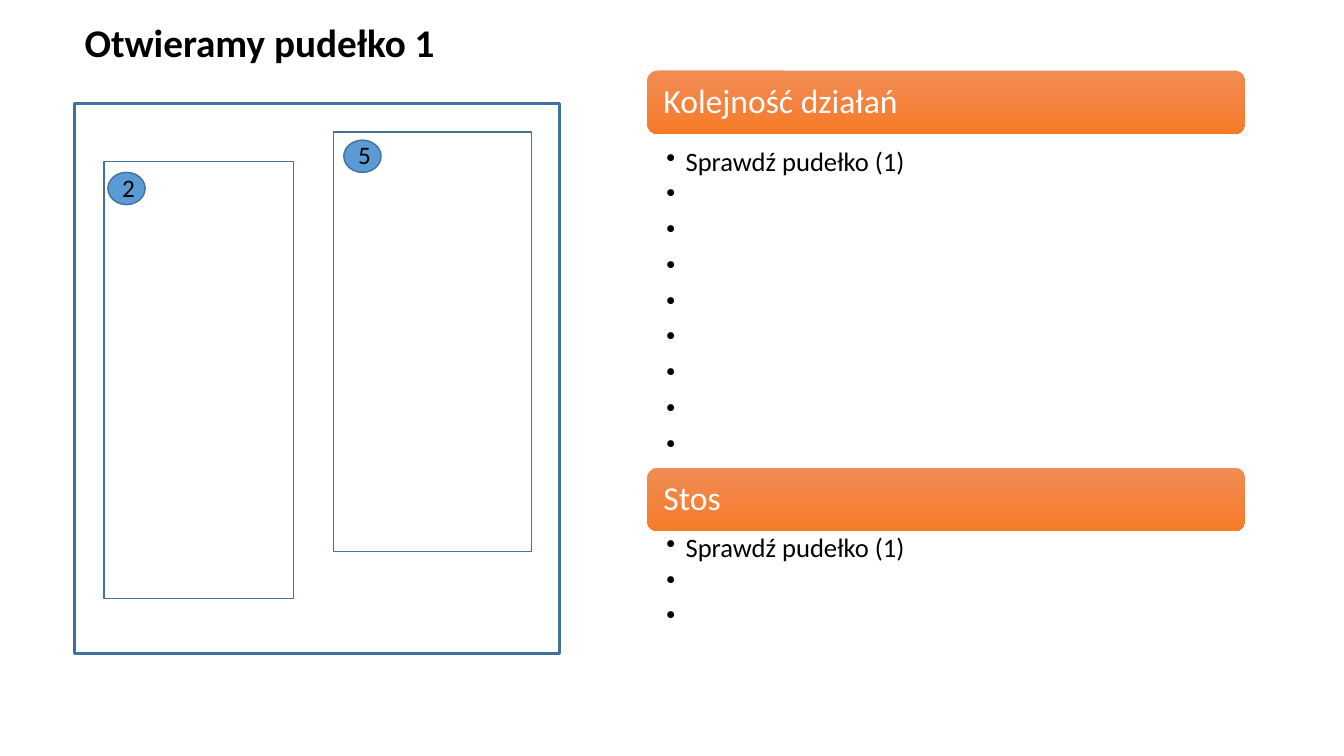
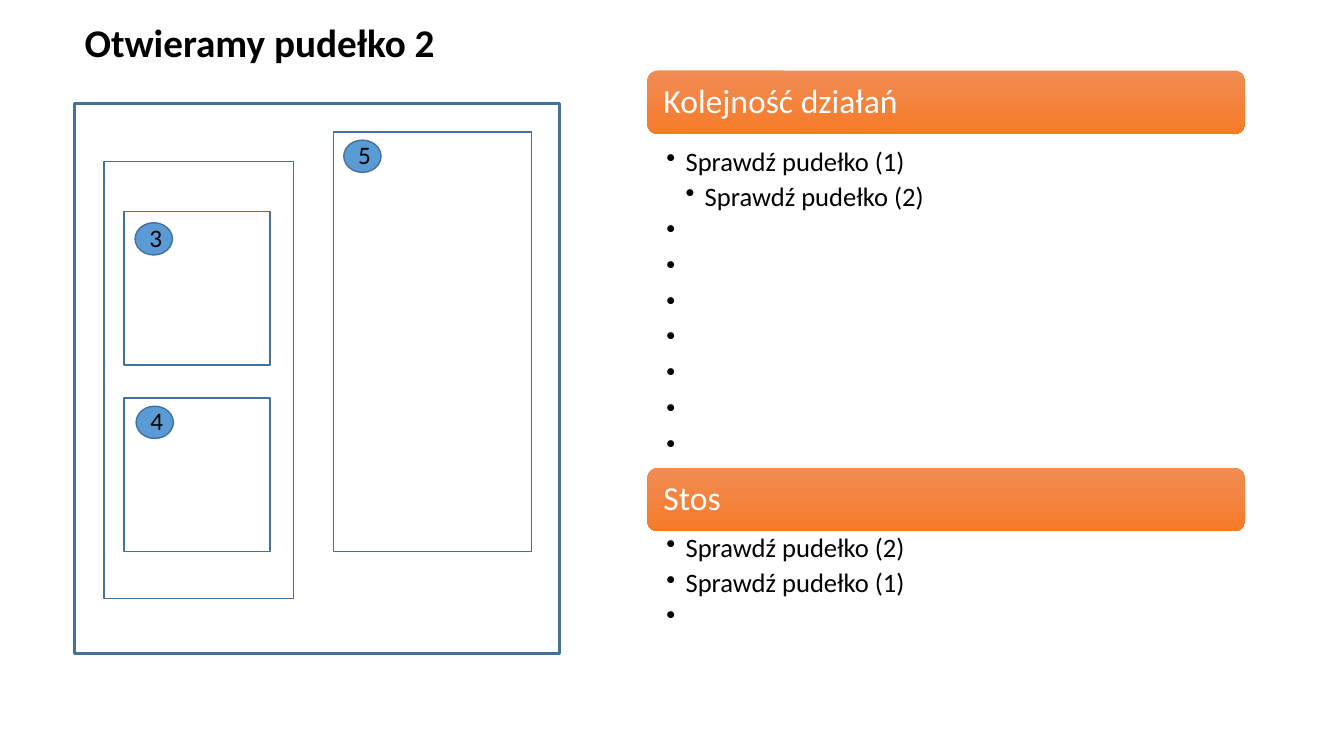
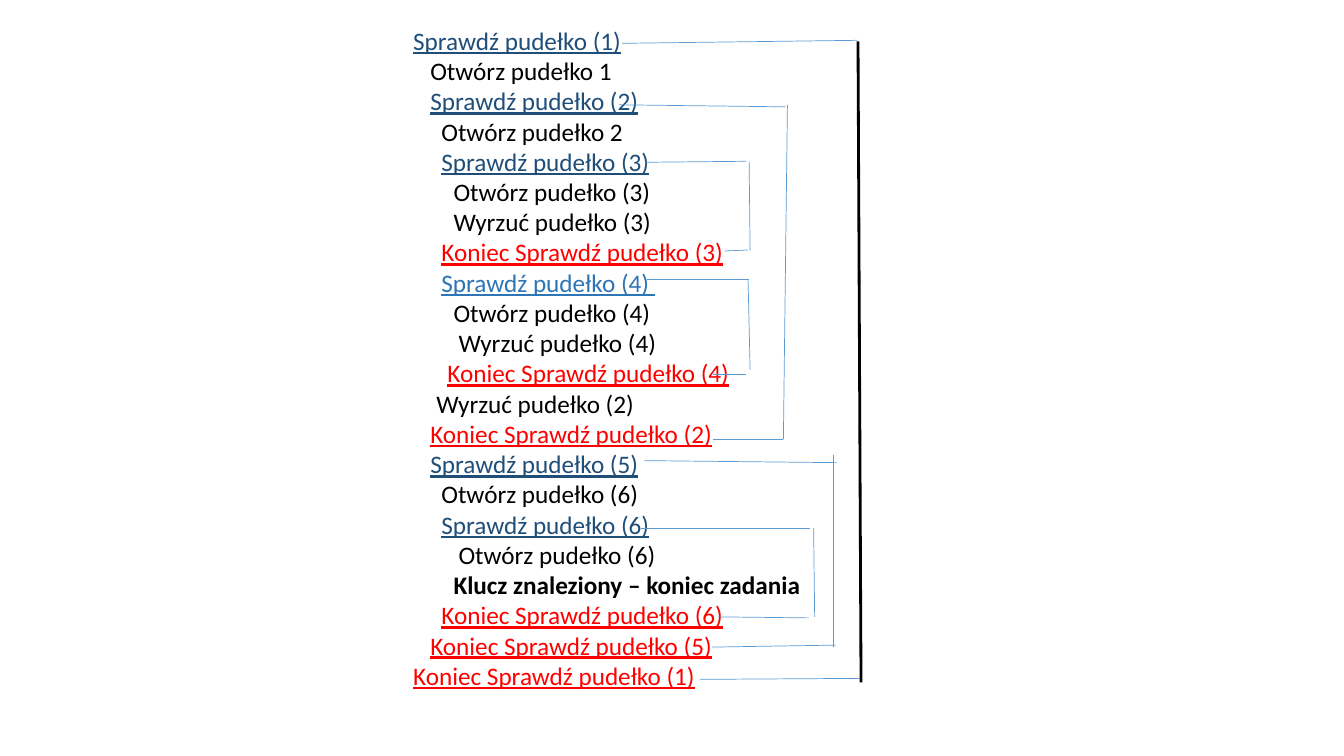
"""Build three slides that trace a recursive search through nested boxes."""
from dataclasses import dataclass

from lxml import etree
from pptx import Presentation, util as u
from pptx.dml import color
from pptx.enum import shapes, text
from pptx.oxml import ns

PX = 9144
BLACK, WHITE, RED = "000000", "FFFFFF", "FF0000"
NAVY, BLUE, SKY, EDGE = "1F4E79", "2E75B6", "5B9BD5", "41719C"
BAND_TOP, BAND_BOTTOM = "F18C55", "F67B28"
PANEL_LEFT, PANEL_WIDTH, BAND_HEIGHT = 642, 593, 63
BULLET_INDENT = 19


@dataclass(frozen=True)
class Area:
    left: int
    top: int
    width: int
    height: int

    def emu(self) -> list:
        return [px(n) for n in (self.left, self.top, self.width, self.height)]


@dataclass(frozen=True)
class Badge:
    label: str
    left: int
    top: int


@dataclass(frozen=True)
class Panel:
    heading: str
    band_top: int
    list_top: int
    list_height: int
    rows: int


@dataclass(frozen=True)
class Step:
    text: str
    indent: int = 0
    color: str = BLACK
    bold: bool = False


@dataclass(frozen=True)
class Link:
    x1: int
    y1: int
    x2: int
    y2: int
    color: str = SKY
    weight: float = 0.5


@dataclass(frozen=True)
class BoxPage:
    title: str
    frames: list
    badges: list
    actions: list
    stack: list


PANELS = [
    Panel("Kolejność działań", 70, 144, 321, 9),
    Panel("Stos", 464, 527, 109, 3),
]
OUTER = Area(74, 103, 481, 545)
LEFT_BOX = Area(103, 160, 188, 434)
RIGHT_BOX = Area(331, 131, 196, 416)
FIVE = Badge("5", 341, 139)
CHECK_1, CHECK_2 = ("Sprawdź pudełko (1)", 1), ("Sprawdź pudełko (2)", 1)

BOX_PAGES = [
    BoxPage("Otwieramy pudełko 1", [RIGHT_BOX, LEFT_BOX],
            [Badge("2", 107, 171), FIVE], [CHECK_1], [CHECK_1]),
    BoxPage("Otwieramy pudełko 2",
            [Area(123, 395, 145, 152), Area(123, 210, 145, 152), RIGHT_BOX, LEFT_BOX],
            [Badge("4", 135, 403), Badge("3", 134, 221), FIVE],
            [CHECK_1, (CHECK_2[0], 2)], [CHECK_2, CHECK_1]),
]

STEPS = [
    Step("Sprawdź pudełko (1)", 0, NAVY),
    Step("Otwórz pudełko 1", 17),
    Step("Sprawdź pudełko (2)", 17, NAVY),
    Step("Otwórz pudełko 2", 28),
    Step("Sprawdź pudełko (3)", 28, NAVY),
    Step("Otwórz pudełko (3)", 40),
    Step("Wyrzuć pudełko (3)", 40),
    Step("Koniec Sprawdź pudełko (3)", 28, RED),
    Step("Sprawdź pudełko (4) ", 28, BLUE),
    Step("Otwórz pudełko (4)", 40),
    Step("Wyrzuć pudełko (4)", 45),
    Step("Koniec Sprawdź pudełko (4)", 34, RED),
    Step("Wyrzuć pudełko (2)", 23),
    Step("Koniec Sprawdź pudełko (2)", 17, RED),
    Step("Sprawdź pudełko (5)", 17, NAVY),
    Step("Otwórz pudełko (6)", 28),
    Step("Sprawdź pudełko (6)", 28, NAVY),
    Step("Otwórz pudełko (6)", 45),
    Step("Klucz znaleziony – koniec zadania", 40, bold=True),
    Step("Koniec Sprawdź pudełko (6)", 28, RED),
    Step("Koniec Sprawdź pudełko (5)", 17, RED),
    Step("Koniec Sprawdź pudełko (1)", 0, RED),
]

LINKS = [
    Link(617, 43, 850, 40), Link(854, 673, 694, 674),
    Link(640, 161, 740, 160), Link(743, 160, 744, 249), Link(742, 248, 719, 249),
    Link(614, 104, 779, 106), Link(781, 104, 777, 436), Link(777, 436, 707, 436),
    Link(642, 277, 743, 277), Link(742, 278, 744, 367), Link(740, 371, 707, 371),
    Link(639, 457, 830, 459), Link(827, 451, 827, 642), Link(706, 642, 829, 640),
    Link(803, 524, 636, 524), Link(807, 524, 808, 612), Link(802, 613, 712, 612),
    Link(851, 41, 854, 677, BLACK, 2),
]


def px(length: int) -> u.Emu:
    return u.Emu(length * PX)


def rgb(value: str) -> color.RGBColor:
    return color.RGBColor.from_string(value)


def set_frame(frame, insets=(10, 5, 10, 5), anchor=text.MSO_ANCHOR.TOP, wrap=True) -> None:
    frame.word_wrap = wrap
    frame.vertical_anchor = anchor
    frame.margin_left, frame.margin_top, frame.margin_right, frame.margin_bottom = map(px, insets)


def write(frame, words: str, *, size: float = 18, color: str = BLACK, bold: bool = False,
          underline: bool = False, align=text.PP_ALIGN.LEFT, spacing: float = 1.0,
          after: float = 0, indent: int = 0, level: int = 0) -> None:
    first = frame.paragraphs[0]
    para = frame.add_paragraph() if first.runs else first
    para.alignment = align
    para.line_spacing = spacing
    para.space_after = u.Pt(after)
    props = para._p.get_or_add_pPr()
    props.set("marL", str(px(indent + level * BULLET_INDENT)))
    props.set("indent", str(px(-BULLET_INDENT if level else 0)))
    if level:
        para.level = level
        etree.SubElement(props, ns.qn("a:buChar")).set("char", "•")
    span = para.add_run()
    span.text = words
    span.font.name = "Calibri"
    span.font.size = u.Pt(size)
    span.font.bold = bold
    span.font.underline = underline
    span.font.color.rgb = rgb(color)


def add_text(page, area: Area, insets=(10, 5, 10, 5)):
    box = page.shapes.add_textbox(*area.emu())
    set_frame(box.text_frame, insets)
    return box.text_frame


def add_outline(page, kind, area: Area, weight: float = 1, fill: str = ""):
    shape = page.shapes.add_shape(kind, *area.emu())
    shape.shadow.inherit = False
    shape.line.color.rgb = rgb(EDGE)
    shape.line.width = u.Pt(weight)
    if fill:
        shape.fill.solid()
        shape.fill.fore_color.rgb = rgb(fill)
    else:
        shape.fill.background()
    return shape


def add_badge(page, badge: Badge) -> None:
    area = Area(badge.left, badge.top, 37, 32)
    oval = add_outline(page, shapes.MSO_SHAPE.OVAL, area, fill=SKY)
    set_frame(oval.text_frame, (4, 0, 0, 3), text.MSO_ANCHOR.MIDDLE, wrap=False)
    write(oval.text_frame, badge.label, align=text.PP_ALIGN.CENTER)


def add_panel(page, panel: Panel, items: list) -> None:
    area = Area(PANEL_LEFT, panel.band_top, PANEL_WIDTH, BAND_HEIGHT)
    band = page.shapes.add_shape(shapes.MSO_SHAPE.ROUNDED_RECTANGLE, *area.emu())
    band.shadow.inherit = False
    band.line.fill.background()
    band.fill.gradient()
    band.fill.gradient_angle = 270
    for stop, shade in zip(band.fill.gradient_stops, (BAND_TOP, BAND_BOTTOM)):
        stop.color.rgb = rgb(shade)
    set_frame(band.text_frame, (13, 13, 13, 13), text.MSO_ANCHOR.MIDDLE)
    write(band.text_frame, panel.heading, size=24, color=WHITE, spacing=0.9, after=10)

    area = Area(PANEL_LEFT, panel.list_top, PANEL_WIDTH, panel.list_height)
    frame = add_text(page, area, (19, 3, 19, 3))
    for words, level in items + [(" ", 1)] * (panel.rows - len(items)):
        write(frame, words, size=19, spacing=0.9, after=5, level=level)


def add_link(page, link: Link) -> None:
    ends = map(px, (link.x1, link.y1, link.x2, link.y2))
    line = page.shapes.add_connector(shapes.MSO_CONNECTOR.STRAIGHT, *ends)
    line.line.color.rgb = rgb(link.color)
    line.line.width = u.Pt(link.weight)
    etree.SubElement(line._element.spPr, ns.qn("a:effectLst"))


def build_box_page(page, content: BoxPage) -> None:
    for panel, items in zip(PANELS, (content.actions, content.stack)):
        add_panel(page, panel, items)
    write(add_text(page, Area(74, 13, 1259, 57)), content.title, size=28, bold=True)
    for area in content.frames:
        add_outline(page, shapes.MSO_SHAPE.RECTANGLE, area)
    add_outline(page, shapes.MSO_SHAPE.RECTANGLE, OUTER, weight=2)
    for badge in content.badges:
        add_badge(page, badge)


def build_trace_page(page) -> None:
    frame = add_text(page, Area(400, 20, 466, 677))
    for step in STEPS:
        write(frame, step.text, color=step.color, bold=step.bold,
              underline=step.color != BLACK, indent=step.indent)
    for link in LINKS:
        add_link(page, link)


def main() -> None:
    deck = Presentation()
    deck.slide_width, deck.slide_height = px(1333), px(750)
    blank = deck.slide_layouts[6]
    for content in BOX_PAGES:
        build_box_page(deck.slides.add_slide(blank), content)
    build_trace_page(deck.slides.add_slide(blank))
    deck.save("out.pptx")


if __name__ == "__main__":
    main()
